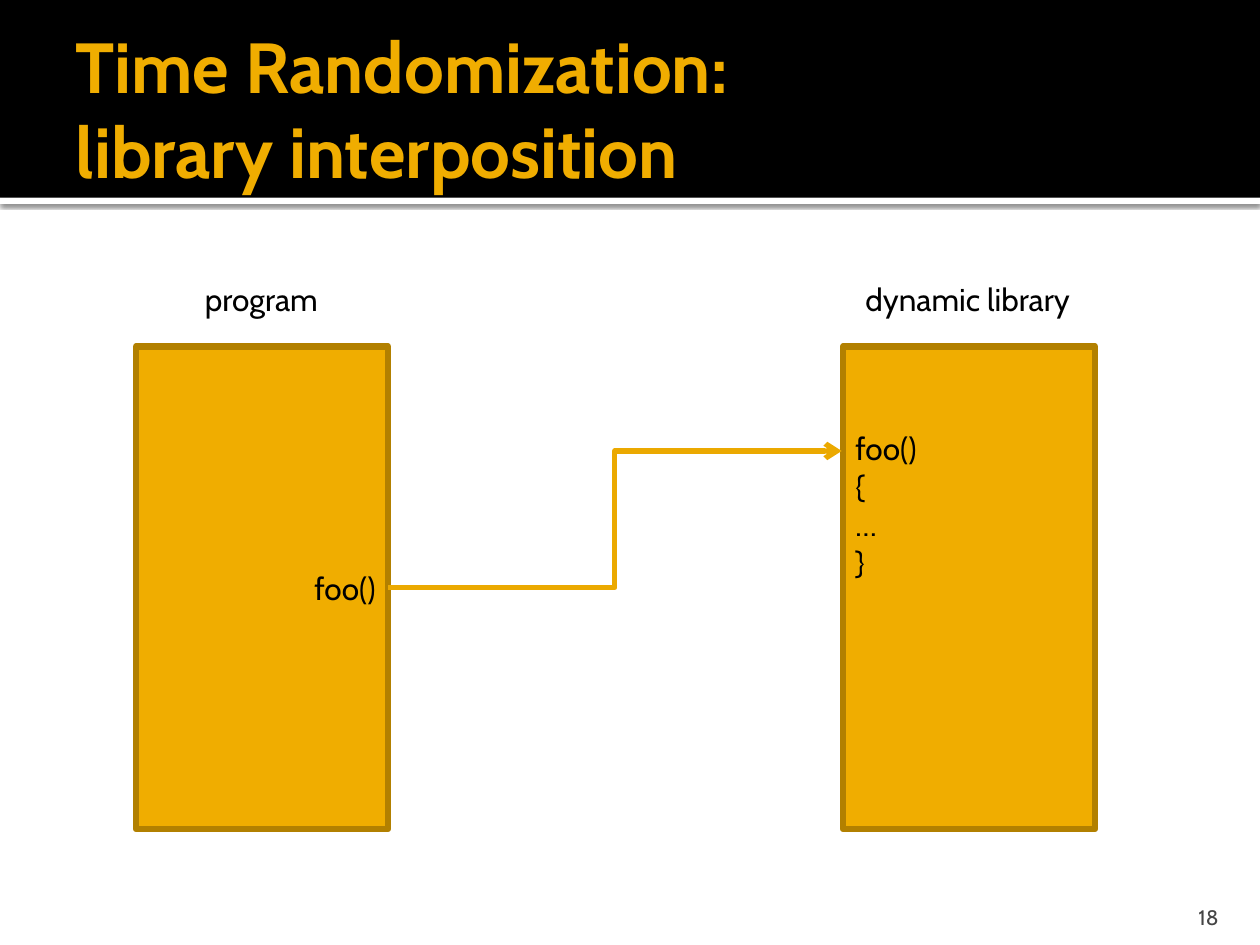
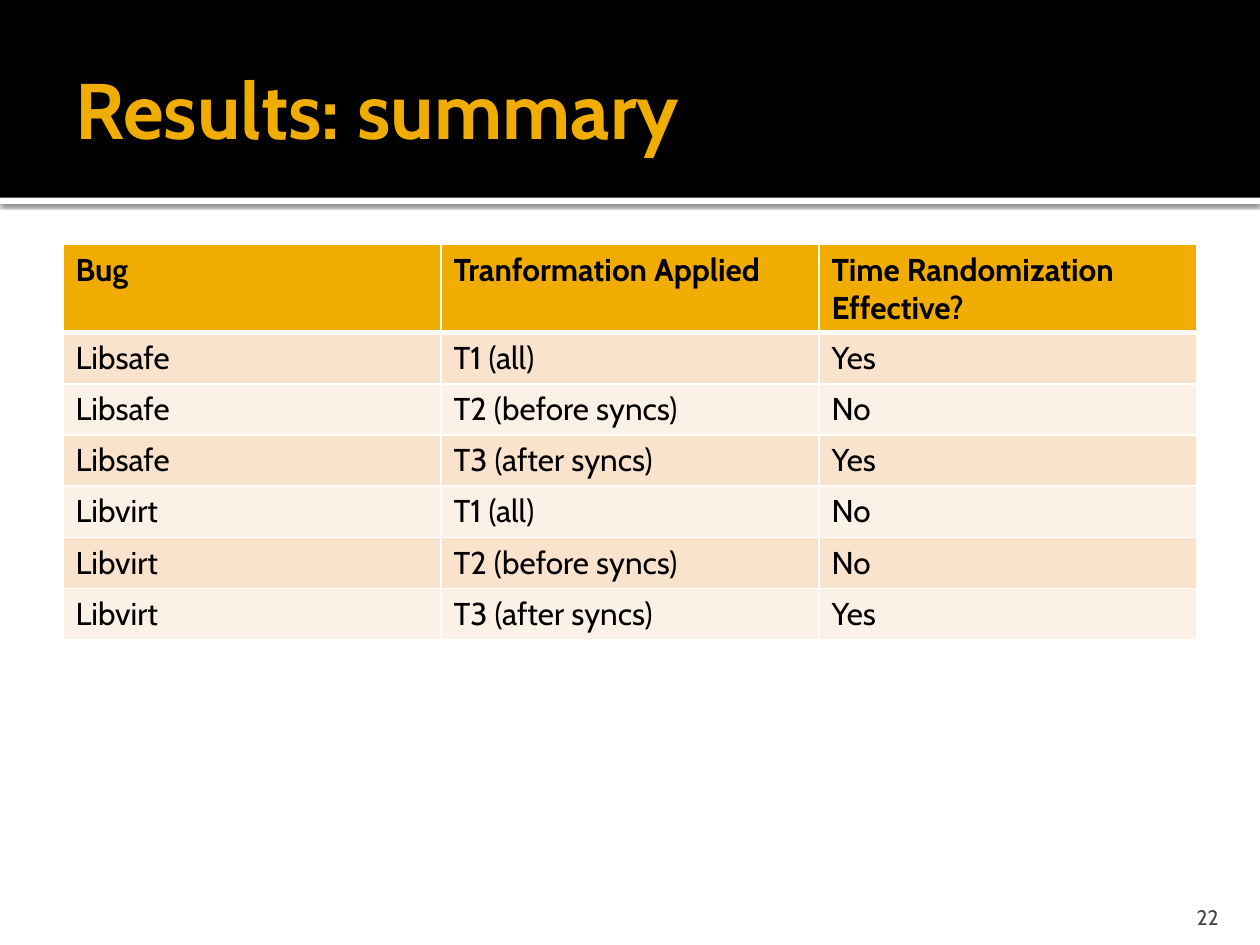
from dataclasses import dataclass

from lxml.etree import SubElement
from pptx import Presentation
from pptx.dml.color import RGBColor
from pptx.enum.shapes import MSO_CONNECTOR, MSO_SHAPE
from pptx.enum.text import MSO_ANCHOR, MSO_AUTO_SIZE, PP_ALIGN
from pptx.oxml.ns import qn
from pptx.util import Pt

BLACK = RGBColor(0x00, 0x00, 0x00)
WHITE = RGBColor(0xFF, 0xFF, 0xFF)
AMBER = RGBColor(0xF0, 0xAD, 0x00)
DARK_AMBER = RGBColor(0xB2, 0x80, 0x00)
ARROW_AMBER = RGBColor(0xEB, 0xA9, 0x00)
PEACH = RGBColor(0xF9, 0xE3, 0xCC)
PALE_PEACH = RGBColor(0xFC, 0xF1, 0xE7)
GRAY = RGBColor(0x45, 0x45, 0x45)

FONT = "Cabin"
BODY_SIZE = 18
LINE_HEIGHT = 21.9
SLIDE_WIDTH, SLIDE_HEIGHT = 720, 540
BAND_HEIGHT, STRIPE_HEIGHT = 113, 3.6
BOX_TOP, BOX_WIDTH, BOX_HEIGHT = 198, 144, 275.75
HEADER_HEIGHT, ROW_HEIGHT, COLUMN_WIDTH = 50, 29.25, 216

HEADER = ("Bug", "Tranformation Applied", "Time Randomization Effective?")
TRANSFORMATIONS = ("T1 (all)", "T2 (before syncs)", "T3 (after syncs)")
EFFECTIVE = {"Libsafe": ("Yes", "No", "Yes"), "Libvirt": ("No", "No", "Yes")}


@dataclass(frozen=True)
class CodeBox:
    label: str
    label_left: float
    label_width: float
    left: float
    lines: tuple[str, ...]
    alignment: PP_ALIGN
    anchor: MSO_ANCHOR
    margin_top: float = 3.6


PROGRAM = CodeBox("program", 110, 79.5, 77.75, ("foo()",), PP_ALIGN.RIGHT, MSO_ANCHOR.MIDDLE)
LIBRARY = CodeBox(
    "dynamic library", 487.5, 132.5, 481.75, ("foo()", "{", "…", "}"),
    PP_ALIGN.LEFT, MSO_ANCHOR.TOP, 3.6 + 2 * LINE_HEIGHT,
)


def apply_format(target, values: dict) -> None:
    for name, value in values.items():
        setattr(target, name, value)


def write_text(text_frame, text: str, size: float = BODY_SIZE, color: RGBColor = BLACK,
               bold: bool = False, alignment: PP_ALIGN = PP_ALIGN.LEFT) -> None:
    text_frame.text = text
    font_format = {"name": FONT, "size": Pt(size), "bold": bold}
    for paragraph in text_frame.paragraphs:
        paragraph.alignment = alignment
        for run in paragraph.runs:
            apply_format(run.font, font_format)
            run.font.color.rgb = color


def add_rectangle(slide, left: float, top: float, width: float, height: float, fill: RGBColor):
    shape = slide.shapes.add_shape(
        MSO_SHAPE.RECTANGLE, Pt(left), Pt(top), Pt(width), Pt(height))
    shape.shadow.inherit = False
    shape.fill.solid()
    shape.fill.fore_color.rgb = fill
    shape.line.fill.background()
    return shape


def add_stripe_shadow(shape) -> None:
    effects = shape.element.spPr.find(qn("a:effectLst"))
    shadow = SubElement(effects, qn("a:outerShdw"), blurRad=str(Pt(2.5)),
                        dist=str(Pt(0.8)), dir="5400000", rotWithShape="0")
    color = SubElement(shadow, qn("a:srgbClr"), val=str(BLACK))
    SubElement(color, qn("a:alpha"), val="60000")


def move_bands_to_layout(slide) -> None:
    layout = slide.slide_layout
    for placeholder in list(layout.placeholders)[1:]:
        layout.shapes.element.remove(placeholder.element)
    stripe = add_rectangle(slide, 0, BAND_HEIGHT, SLIDE_WIDTH, STRIPE_HEIGHT, WHITE)
    add_stripe_shadow(stripe)
    band = add_rectangle(slide, 0, 0, SLIDE_WIDTH, BAND_HEIGHT, BLACK)
    for index, shape in enumerate((stripe, band), start=2):
        layout.shapes.element.insert(index, shape.element)


def add_titled_slide(presentation, title: str, title_size: float, number: int):
    slide = presentation.slides.add_slide(presentation.slide_layouts[5])
    placeholder = slide.shapes.title
    apply_format(placeholder, {
        "left": Pt(36), "top": Pt(12.25), "width": Pt(648), "height": Pt(98.65)})
    apply_format(placeholder.text_frame, {
        "margin_left": Pt(7.2), "margin_top": Pt(3.6), "margin_right": Pt(3.6),
        "margin_bottom": Pt(3.6), "vertical_anchor": MSO_ANCHOR.MIDDLE,
        "auto_size": MSO_AUTO_SIZE.NONE, "word_wrap": True})
    write_text(placeholder.text_frame, title, title_size, AMBER, True)

    number_box = slide.shapes.add_textbox(Pt(645.85), Pt(509.75), Pt(57.6), Pt(21.6))
    apply_format(number_box.text_frame, {
        "margin_bottom": 0, "vertical_anchor": MSO_ANCHOR.BOTTOM, "word_wrap": True})
    write_text(number_box.text_frame, str(number), 12, GRAY, alignment=PP_ALIGN.RIGHT)
    return slide


def add_code_box(slide, box: CodeBox) -> None:
    shape = add_rectangle(slide, box.left, BOX_TOP, BOX_WIDTH, BOX_HEIGHT, AMBER)
    shape.line.color.rgb = DARK_AMBER
    shape.line.width = Pt(3.78)
    apply_format(shape.text_frame, {
        "vertical_anchor": box.anchor, "margin_top": Pt(box.margin_top), "word_wrap": True})
    write_text(shape.text_frame, "\n".join(box.lines), alignment=box.alignment)

    label = slide.shapes.add_textbox(
        Pt(box.label_left), Pt(156.25), Pt(box.label_width), Pt(29))
    apply_format(label.text_frame, {
        "word_wrap": False, "auto_size": MSO_AUTO_SIZE.SHAPE_TO_FIT_TEXT})
    write_text(label.text_frame, box.label)


def add_call_arrow(slide) -> None:
    connector = slide.shapes.add_connector(
        MSO_CONNECTOR.ELBOW, Pt(PROGRAM.left + BOX_WIDTH), Pt(BOX_TOP + BOX_HEIGHT / 2),
        Pt(LIBRARY.left - 0.75), Pt(257.75))
    connector.line.color.rgb = ARROW_AMBER
    connector.line.width = Pt(3)
    SubElement(connector.line._get_or_add_ln(), qn("a:tailEnd"), type="arrow")
    SubElement(connector.element.spPr, qn("a:effectLst"))


def add_cell_borders(cell, top: float, bottom: float) -> None:
    properties = cell._tc.get_or_add_tcPr()
    for side, width in {"L": 1, "R": 1, "T": top, "B": bottom}.items():
        border = SubElement(properties, qn(f"a:ln{side}"), w=str(Pt(width)))
        fill = SubElement(border, qn("a:solidFill"))
        SubElement(fill, qn("a:srgbClr"), val=str(WHITE))


def add_results_table(slide) -> None:
    rows = [HEADER] + [
        (bug, transformation, answer)
        for bug, answers in EFFECTIVE.items()
        for transformation, answer in zip(TRANSFORMATIONS, answers)]
    heights = [HEADER_HEIGHT] + [ROW_HEIGHT] * (len(rows) - 1)
    table = slide.shapes.add_table(
        len(rows), len(HEADER), Pt(36), Pt(139.75),
        Pt(COLUMN_WIDTH * len(HEADER)), Pt(sum(heights))).table
    for column in table.columns:
        column.width = Pt(COLUMN_WIDTH)
    for row_index, (values, height) in enumerate(zip(rows, heights)):
        is_header = row_index == 0
        fill = AMBER if is_header else PEACH if row_index % 2 else PALE_PEACH
        table.rows[row_index].height = Pt(height)
        for column_index, value in enumerate(values):
            cell = table.cell(row_index, column_index)
            add_cell_borders(cell, 3 if row_index == 1 else 1, 3 if is_header else 1)
            cell.fill.solid()
            cell.fill.fore_color.rgb = fill
            write_text(cell.text_frame, value, bold=is_header)


def main() -> None:
    presentation = Presentation()
    presentation.slide_width = Pt(SLIDE_WIDTH)
    presentation.slide_height = Pt(SLIDE_HEIGHT)

    interposition = add_titled_slide(
        presentation, "Time Randomization:\vlibrary interposition", 40.5, 18)
    move_bands_to_layout(interposition)
    for box in (PROGRAM, LIBRARY):
        add_code_box(interposition, box)
    add_call_arrow(interposition)

    summary = add_titled_slide(presentation, "Results: summary", 45, 22)
    add_results_table(summary)

    presentation.save("out.pptx")


if __name__ == "__main__":
    main()
